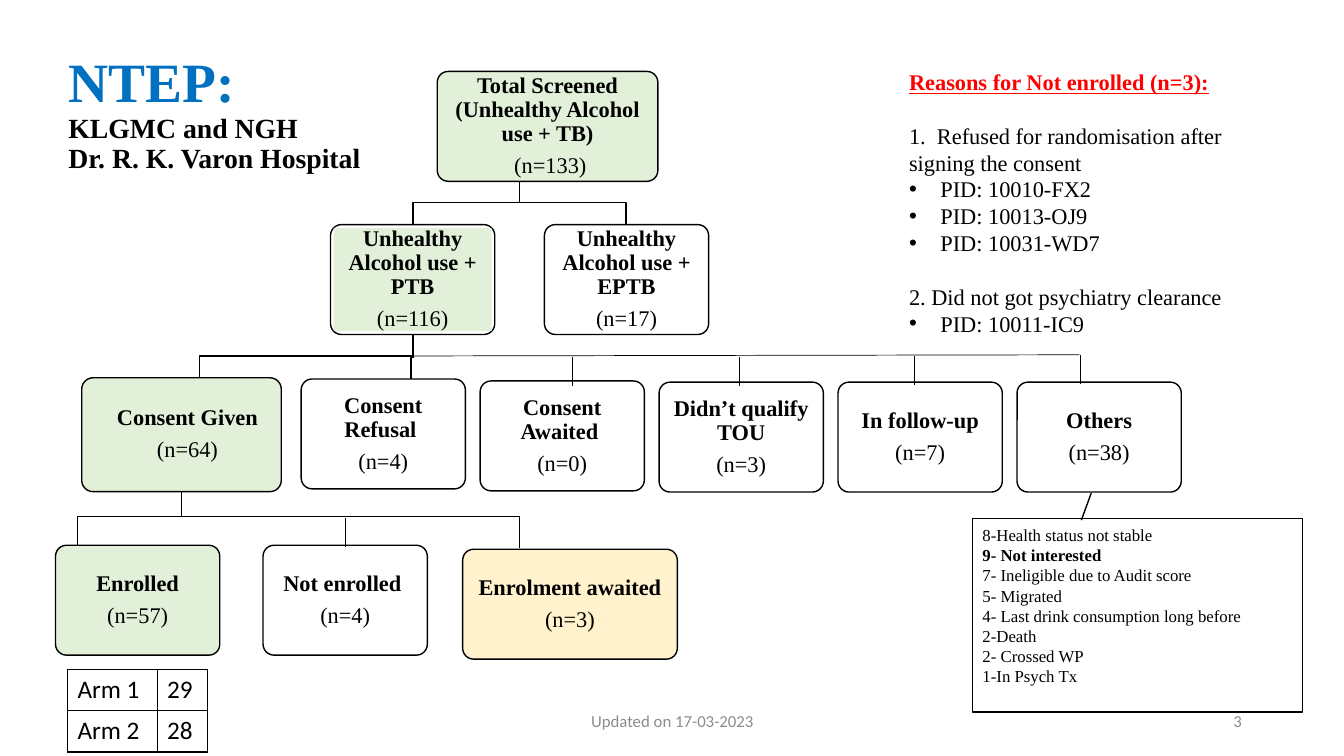
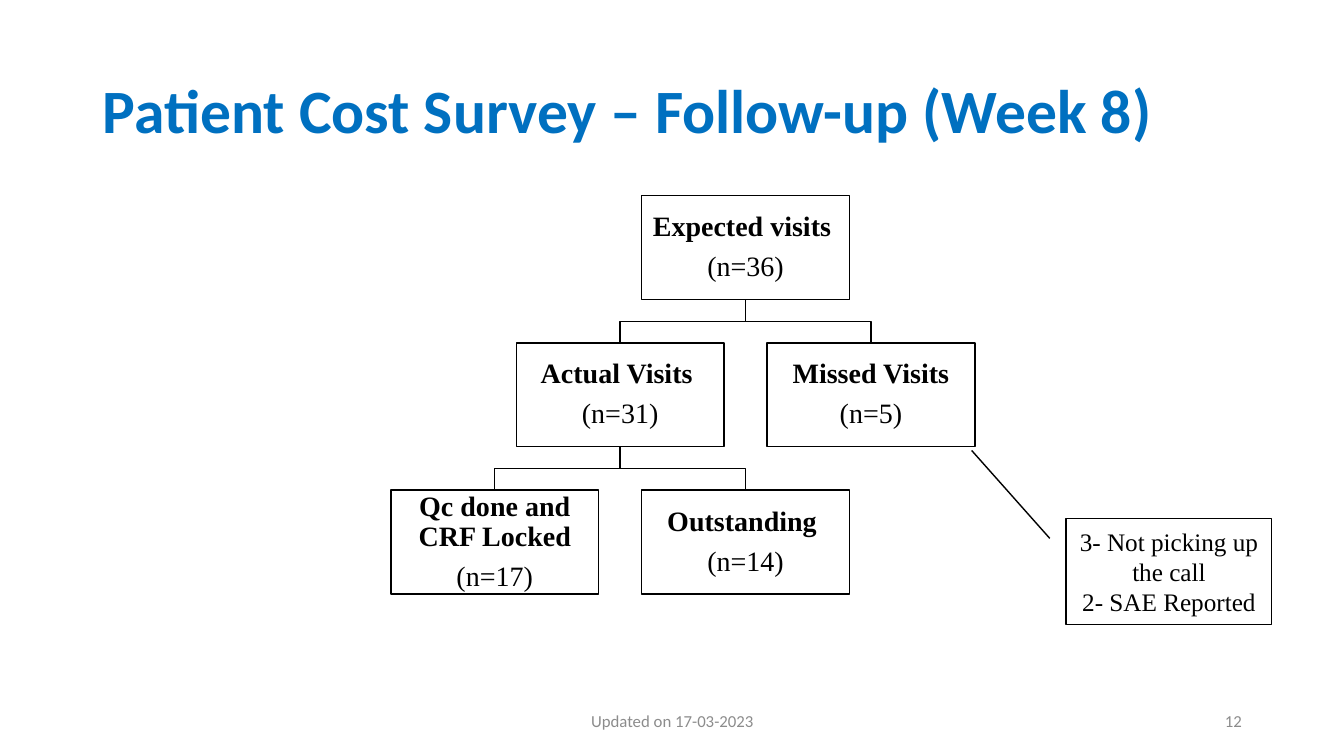
from lxml import etree
from pptx import Presentation
from pptx.dml.color import RGBColor
from pptx.enum.shapes import MSO_CONNECTOR, MSO_SHAPE
from pptx.enum.text import MSO_ANCHOR, MSO_AUTO_SIZE, PP_ALIGN
from pptx.oxml.ns import qn
from pptx.util import Cm, Pt

LEFT, CENTER, RIGHT = PP_ALIGN.LEFT, PP_ALIGN.CENTER, PP_ALIGN.RIGHT
MIDDLE = MSO_ANCHOR.MIDDLE
NO_AUTOFIT = MSO_AUTO_SIZE.NONE
STRAIGHT = MSO_CONNECTOR.STRAIGHT
ROUNDED, RECTANGLE = MSO_SHAPE.ROUNDED_RECTANGLE, MSO_SHAPE.RECTANGLE
CALLOUT = MSO_SHAPE.LINE_CALLOUT_1

BLACK = RGBColor(0, 0, 0)
WHITE = RGBColor(255, 255, 255)
BLUE = RGBColor(0x00, 0x70, 0xC0)
RED = RGBColor(255, 0, 0)
GRAY = RGBColor(0x8C, 0x8C, 0x8C)
GREEN = RGBColor(0xE2, 0xF0, 0xD9)
CREAM = RGBColor(0xFF, 0xF2, 0xCC)
SERIF, SANS = "Times New Roman", "Calibri"

FOOTER = "Updated on 17-03-2023"
SCREENING_TITLE = "NTEP: \vKLGMC and NGH\vDr. R. K. Varon Hospital"
VISITS_TITLE = "Patient Cost Survey – Follow-up (Week 8) "
BOX_WIDTH, BOX_HEIGHT = 4.14, 2.77
OUTCOME_LEFT, OUTCOME_PITCH = 7.59, 4.51

SCREENING_BOXES = [
    ("Total Screened (Unhealthy Alcohol use + TB)", " (n=133)", (11.02, 1.8, 5.56, BOX_HEIGHT), GREEN),
    ("Unhealthy Alcohol use + EPTB", "(n=17)", (13.72, 5.66, BOX_WIDTH, BOX_HEIGHT), WHITE),
    ("Enrolled", "(n=57)", (1.4, 13.74, BOX_WIDTH, BOX_HEIGHT), GREEN),
    ("Not enrolled ", "(n=4)", (6.63, 13.74, BOX_WIDTH, BOX_HEIGHT), WHITE),
    ("Enrolment awaited", "(n=3)", (11.66, 13.84, 5.41, BOX_HEIGHT), CREAM),
]
PULMONARY = ("Unhealthy Alcohol use + PTB", "(n=116)")
PULMONARY_FRAME = (8.33, 5.66, BOX_WIDTH, BOX_HEIGHT)
PULMONARY_PANEL = (8.41, 5.74, 3.98, 2.6)
CONSENT = ("Consent Given", "(n=64)")
CONSENT_FRAME = (2.06, 9.52, 5.03, 2.87)
OUTCOMES = [
    ("Consent Refusal ", "(n=4)", 9.55),
    ("Consent Awaited ", "(n=0)", 9.6),
    ("Didn’t qualify TOU", "(n=3)", 9.63),
    ("In follow-up", "(n=7)", 9.63),
    ("Others", "(n=38)", 9.63),
]
SCREENING_BRANCHES = [
    ((13.1, 4.55), (10.41, 5.66)),
    ((13.1, 4.55), (15.78, 5.66)),
    ((10.41, 8.43), (5.03, 9.52)),
    ((10.41, 8.43), (10.36, 9.58)),
]
SCREENING_LINES = [
    ((1.96, 13), (13.1, 13)),
    ((1.96, 13), (1.96, 13.74)),
    ((8.71, 13.06), (8.71, 13.79)),
    ((13.1, 13), (13.1, 13.82)),
    ((4.57, 12.4), (4.57, 13)),
    ((14.43, 8.99), (14.43, 9.73)),
    ((18.64, 8.99), (18.64, 9.73)),
    ((23.04, 8.97), (23.04, 9.7)),
    ((27.23, 8.94), (27.23, 9.68)),
    ((25.63, 9.86), (25.63, 10.59)),
    ((10.24, 8.97), (27.2, 8.94)),
]
REASONS_HEADING = "Reasons for Not enrolled (n=3):"
REASONS = [
    ("1.  Refused for randomisation after signing the consent",
     ["PID: 10010-FX2", "PID: 10013-OJ9", "PID: 10031-WD7"]),
    ("2. Did not got psychiatry clearance", ["PID: 10011-IC9"]),
]
OTHER_REASONS = [
    "8-Health status not stable",
    "9- Not interested",
    "7- Ineligible due to Audit score",
    "5- Migrated",
    "4- Last drink consumption long before",
    "2-Death",
    "2- Crossed WP",
    "1-In Psych Tx",
]
ARMS = [("Arm 1", "29"), ("Arm 2", "28")]
ARM_COLUMNS, ARM_ROW = (2.26, 1.27), 1.04

VISIT_WIDTH, VISIT_HEIGHT = 5.24, 2.62
VISIT_LEFT, VISIT_TOP = 9.85, 4.93
VISIT_STEP_X, VISIT_STEP_Y = 3.16, 3.71
VISITS = [
    ("Expected visits ", "(n=36)", 2, 0, None),
    ("Actual Visits ", "(n=31)", 1, 1, 0),
    ("Missed Visits", "(n=5)", 3, 1, 0),
    ("Qc done and CRF Locked", "(n=17)", 0, 2, 1),
    ("Outstanding ", "(n=14)", 2, 2, 1),
]
MISSED_REASONS = ["3- Not picking up the call", "2- SAE Reported"]


def style(paragraph, size, color=BLACK, font=SERIF, bold=False, align=LEFT):
    paragraph.alignment = align
    for run in paragraph.runs:
        run.font.name = font
        run.font.size = Pt(size)
        run.font.bold = bold
        run.font.color.rgb = color


def frame_lengths(frame):
    return [Cm(value) for value in frame]


def fill_paragraphs(text_frame, lines):
    text_frame.text = "\n".join(lines)
    return text_frame.paragraphs


def set_margins(text_frame, margin):
    text_frame.margin_left = text_frame.margin_right = Cm(margin)
    text_frame.margin_top = text_frame.margin_bottom = Cm(margin)


def add_shape(slide, kind, frame, fill=None, line=BLACK):
    shape = slide.shapes.add_shape(kind, *frame_lengths(frame))
    shape.shadow.inherit = False
    if fill is None:
        shape.fill.background()
    else:
        shape.fill.solid()
        shape.fill.fore_color.rgb = fill
    if line is None:
        shape.line.fill.background()
    else:
        shape.line.color.rgb = line
        shape.line.width = Pt(1)
    if kind == ROUNDED:
        shape.adjustments[0] = 0.1
    shape.text_frame.word_wrap = True
    shape.text_frame.vertical_anchor = MIDDLE
    return shape


def label_box(shape, label, count, size=16, margin=0.13):
    set_margins(shape.text_frame, margin)
    paragraphs = fill_paragraphs(shape.text_frame, [label, count])
    for paragraph, bold in zip(paragraphs, (True, False)):
        style(paragraph, size, bold=bold, align=CENTER)
        paragraph.line_spacing = 0.9
    paragraphs[0].space_after = Pt(size * 0.35)


def add_branch(slide, start, end):
    middle = (start[1] + end[1]) / 2
    points = [start, (start[0], middle), (end[0], middle), end]
    corners = [(Cm(x), Cm(y)) for x, y in points]
    builder = slide.shapes.build_freeform(*corners[0])
    builder.add_line_segments(corners[1:], close=False)
    branch = builder.convert_to_shape()
    branch.shadow.inherit = False
    branch.fill.background()
    branch.line.color.rgb = BLACK
    branch.line.width = Pt(1)


def add_line(slide, start, end):
    line = slide.shapes.add_connector(STRAIGHT, *frame_lengths(start + end))
    line.line.color.rgb = BLACK
    line.line.width = Pt(0.5)
    etree.SubElement(line._element.spPr, qn("a:effectLst"))


def add_callout(slide, frame, lines, size, adjustments, align):
    callout = add_shape(slide, CALLOUT, frame)
    for index, value in enumerate(adjustments):
        callout.adjustments[index] = value
    for paragraph in fill_paragraphs(callout.text_frame, lines):
        style(paragraph, size, align=align)
    return callout


def add_footer_text(slide, frame, text, align):
    box = slide.shapes.add_textbox(*frame_lengths(frame))
    box.text_frame.word_wrap = True
    box.text_frame.vertical_anchor = MIDDLE
    box.text_frame.text = text
    style(box.text_frame.paragraphs[0], 12, GRAY, SANS, align=align)


def add_slide(presentation, title, frame, size, font, number):
    slide = presentation.slides.add_slide(presentation.slide_layouts[5])
    holder = slide.shapes.title
    holder.left, holder.top, holder.width, holder.height = frame_lengths(frame)
    text_frame = holder.text_frame
    text_frame.word_wrap = True
    text_frame.auto_size = NO_AUTOFIT
    text_frame.vertical_anchor = MIDDLE
    paragraph = text_frame.paragraphs[0]
    paragraph.text = title
    paragraph.line_spacing = 0.9
    style(paragraph, size, BLUE, font, bold=True)
    add_footer_text(slide, (11.23, 17.65, 11.43, 1.02), FOOTER, CENTER)
    add_footer_text(slide, (23.93, 17.65, 7.62, 1.02), number, RIGHT)
    return slide


def add_bullet(paragraph):
    properties = paragraph._p.get_or_add_pPr()
    properties.set("marL", str(Cm(0.79)))
    properties.set("indent", str(-Cm(0.79)))
    etree.SubElement(properties, qn("a:buFont")).set("typeface", "Arial")
    etree.SubElement(properties, qn("a:buChar")).set("char", "•")


def add_reasons(slide):
    box = slide.shapes.add_textbox(*frame_lengths((22.66, 1.6, 9.78, 7.77)))
    text_frame = box.text_frame
    text_frame.word_wrap = True
    heading = text_frame.paragraphs[0]
    heading.text = REASONS_HEADING
    style(heading, 16, RED, bold=True)
    heading.runs[0].font.underline = True
    for reason, patients in REASONS:
        paragraph = text_frame.add_paragraph()
        paragraph.text = reason
        paragraph.space_before = Pt(19)
        style(paragraph, 16)
        for patient in patients:
            paragraph = text_frame.add_paragraph()
            paragraph.text = patient
            style(paragraph, 16)
            add_bullet(paragraph)


def add_border(cell):
    properties = cell._tc.get_or_add_tcPr()
    for index, side in enumerate(("a:lnL", "a:lnR", "a:lnT", "a:lnB")):
        line = etree.Element(qn(side), w=str(Pt(1)))
        fill = etree.SubElement(line, qn("a:solidFill"))
        etree.SubElement(fill, qn("a:srgbClr")).set("val", str(BLACK))
        properties.insert(index, line)


def add_arms(slide):
    frame = (1.7, 16.87, sum(ARM_COLUMNS), ARM_ROW * len(ARMS))
    table = slide.shapes.add_table(len(ARMS), 2, *frame_lengths(frame)).table
    table.first_row = table.horz_banding = False
    for column, width in zip(table.columns, ARM_COLUMNS):
        column.width = Cm(width)
    for row, values in zip(table.rows, ARMS):
        row.height = Cm(ARM_ROW)
        for cell, value in zip(row.cells, values):
            cell.text = value
            cell.fill.background()
            style(cell.text_frame.paragraphs[0], 18, font=SANS)
            add_border(cell)


def build_screening(presentation):
    slide = add_slide(presentation, SCREENING_TITLE, (1.47, 1.45, 8.33, 2.87), 39.6, SERIF, "3")
    for run in slide.shapes.title.text_frame.paragraphs[0].runs[1:]:
        run.font.size = Pt(19.8)
        run.font.color.rgb = BLACK
    for start, end in SCREENING_BRANCHES:
        add_branch(slide, start, end)
    for label, count, frame, fill in SCREENING_BOXES:
        label_box(add_shape(slide, ROUNDED, frame, fill), label, count)
    add_shape(slide, ROUNDED, PULMONARY_FRAME, WHITE)
    label_box(add_shape(slide, RECTANGLE, PULMONARY_PANEL, GREEN, None), *PULMONARY)
    consent = add_shape(slide, ROUNDED, CONSENT_FRAME, GREEN)
    label_box(consent, *CONSENT)
    consent.text_frame.margin_left = Cm(0.43)
    for index, (label, count, top) in enumerate(OUTCOMES):
        frame = (OUTCOME_LEFT + index * OUTCOME_PITCH, top, BOX_WIDTH, BOX_HEIGHT)
        label_box(add_shape(slide, ROUNDED, frame, WHITE), label, count)
    for start, end in SCREENING_LINES:
        add_line(slide, start, end)
    add_reasons(slide)
    add_arms(slide)
    callout = add_callout(slide, (24.51, 13.06, 8.31, 4.88), OTHER_REASONS, 12,
                          (0.01, 0.33, -0.13, 0.36), LEFT)
    callout.text_frame.margin_bottom = Cm(0.61)
    callout.text_frame.paragraphs[1].runs[0].font.bold = True


def build_visits(presentation):
    slide = add_slide(presentation, VISITS_TITLE, (2.34, 1.02, 29.21, 3.68), 44, SANS, "12")
    corners = [(VISIT_LEFT + column * VISIT_STEP_X, VISIT_TOP + row * VISIT_STEP_Y)
               for _, _, column, row, _ in VISITS]
    half = VISIT_WIDTH / 2
    for (label, count, _, _, parent), (left, top) in zip(VISITS, corners):
        if parent is not None:
            parent_left, parent_top = corners[parent]
            add_branch(slide, (parent_left + half, parent_top + VISIT_HEIGHT), (left + half, top))
        box = add_shape(slide, RECTANGLE, (left, top, VISIT_WIDTH, VISIT_HEIGHT))
        label_box(box, label, count, size=20, margin=0.03)
    add_callout(slide, (26.87, 13.06, 5.18, 2.67), MISSED_REASONS, 18,
                (0.19, -0.08, -0.64, -0.46), CENTER)


presentation = Presentation()
presentation.slide_width, presentation.slide_height = Cm(33.87), Cm(19.05)
build_screening(presentation)
build_visits(presentation)
presentation.save("out.pptx")
